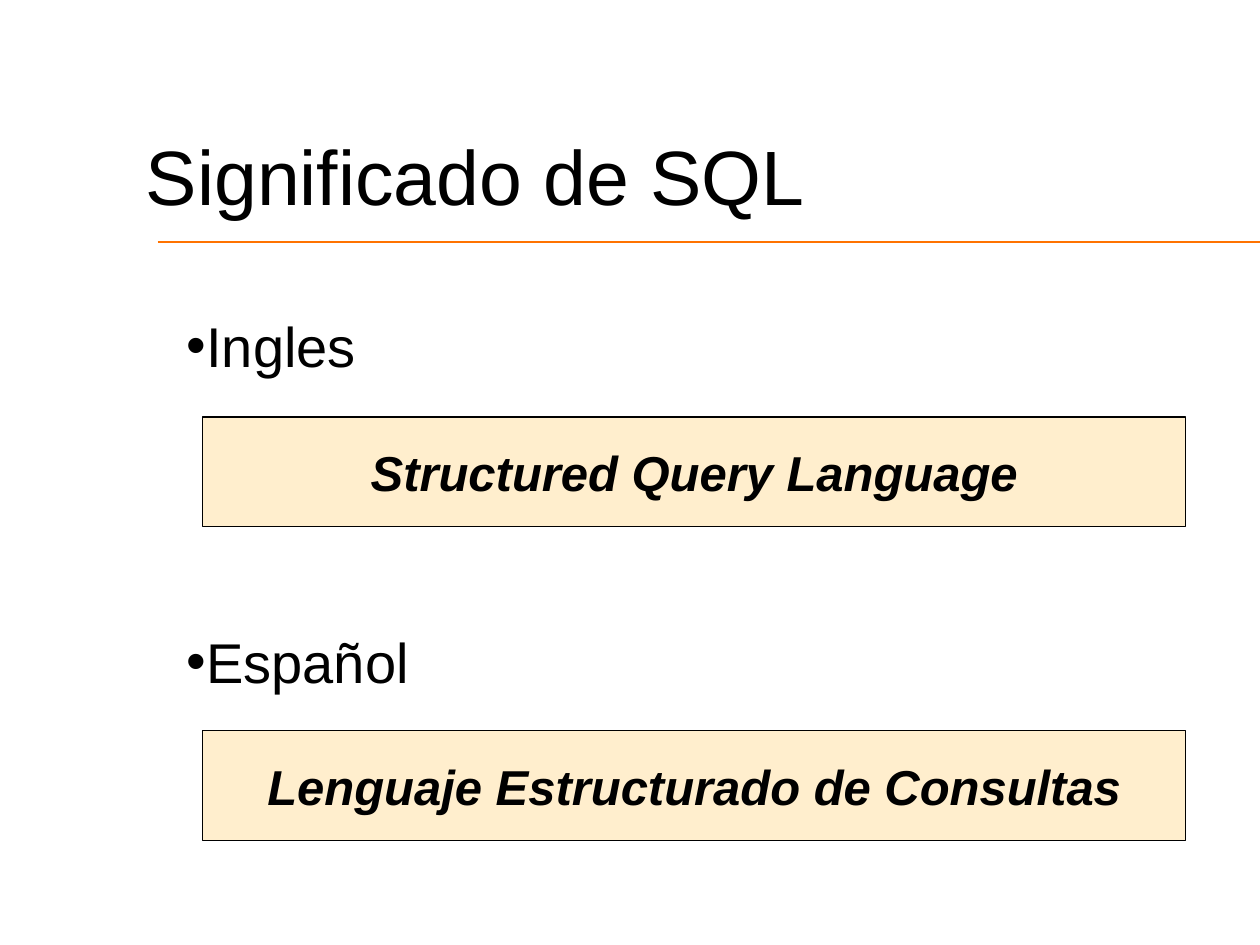
from dataclasses import dataclass

from lxml.etree import SubElement
from pptx import Presentation
from pptx.dml.color import RGBColor
from pptx.enum.shapes import MSO_CONNECTOR as CONN, MSO_SHAPE as SHAPE
from pptx.enum.text import MSO_ANCHOR as ANCHOR, PP_ALIGN as ALIGN
from pptx.oxml.ns import qn
from pptx.util import Inches, Pt


@dataclass(frozen=True)
class Theme:
    font: str = "Arial"
    ink: RGBColor = RGBColor(0x00, 0x00, 0x00)
    rule: RGBColor = RGBColor(0xFF, 0x73, 0x00)
    panel: RGBColor = RGBColor(0xFF, 0xEE, 0xCD)
    title_size: int = 44
    list_size: int = 32
    panel_size: int = 28
    line_width: float = 0.75


THEME = Theme()

# Each language with its expansion of the acronym
MEANINGS = [
    ("Ingles", "Structured Query Language"),
    ("Español", "Lenguaje Estructurado de Consultas"),
]
PANEL_TOP, PANEL_PITCH = 3.31, 2.49
LIST_GAP = 1.98  # space that leaves room for a panel between list items
BULLET_INDENT = 0.16


def write(p, text, size, bold=False, italic=False, align=ALIGN.LEFT):
    p.alignment = align
    r = p.add_run()
    r.text = text
    font = r.font
    font.name, font.size = THEME.font, Pt(size)
    font.bold, font.italic = bold, italic
    font.color.rgb = THEME.ink


def add_text_frame(s, left, top, width, height, anchor=ANCHOR.TOP):
    box = s.shapes.add_textbox(Inches(left), Inches(top), Inches(width), Inches(height))
    tf = box.text_frame
    tf.word_wrap = True
    tf.vertical_anchor = anchor
    return tf


def add_bullet(p):
    pPr = p._p.get_or_add_pPr()
    pPr.set("marL", str(Inches(BULLET_INDENT)))
    pPr.set("indent", str(-Inches(BULLET_INDENT)))
    SubElement(pPr, qn("a:buFont")).set("typeface", THEME.font)
    SubElement(pPr, qn("a:buChar")).set("char", "•")


def add_rule(s, left, right, y):
    line = s.shapes.add_connector(CONN.STRAIGHT, Inches(left), Inches(y), Inches(right), Inches(y))
    line.line.color.rgb = THEME.rule
    line.line.width = Pt(THEME.line_width)
    SubElement(line._element.spPr, qn("a:effectLst"))


def add_list(s, items):
    tf = add_text_frame(s, 1.38, 2.38, 9, 4.95)
    tf.margin_top = Inches(0.09)
    for i, item in enumerate(items):
        p = tf.add_paragraph() if i else tf.paragraphs[0]
        p.space_before = Inches(LIST_GAP) if i else Pt(0)
        write(p, item, THEME.list_size)
        add_bullet(p)


def add_panel(s, text, top):
    sp = s.shapes.add_shape(SHAPE.RECTANGLE, Inches(1.61), Inches(top), Inches(7.8), Inches(0.87))
    sp.shadow.inherit = False
    sp.fill.solid()
    sp.fill.fore_color.rgb = THEME.panel
    sp.line.color.rgb = THEME.ink
    sp.line.width = Pt(THEME.line_width)
    tf = sp.text_frame
    tf.word_wrap = False
    tf.vertical_anchor = ANCHOR.MIDDLE
    write(tf.paragraphs[0], text, THEME.panel_size, bold=True, italic=True, align=ALIGN.CENTER)


def main():
    prs = Presentation()
    prs.slide_width, prs.slide_height = Inches(10), Inches(7.5)
    s = prs.slides.add_slide(prs.slide_layouts[6])

    # Title and the rule below it
    add_rule(s, 1.25, 10, 1.92)
    title = add_text_frame(s, 1.06, 0.76, 8.5, 1.25, ANCHOR.MIDDLE)
    write(title.paragraphs[0], "Significado de SQL", THEME.title_size)

    # Languages, each followed by its panel
    add_list(s, [language for language, _ in MEANINGS])
    for i, (_, meaning) in enumerate(MEANINGS):
        add_panel(s, meaning, PANEL_TOP + i * PANEL_PITCH)

    prs.save("out.pptx")


if __name__ == "__main__":
    main()
